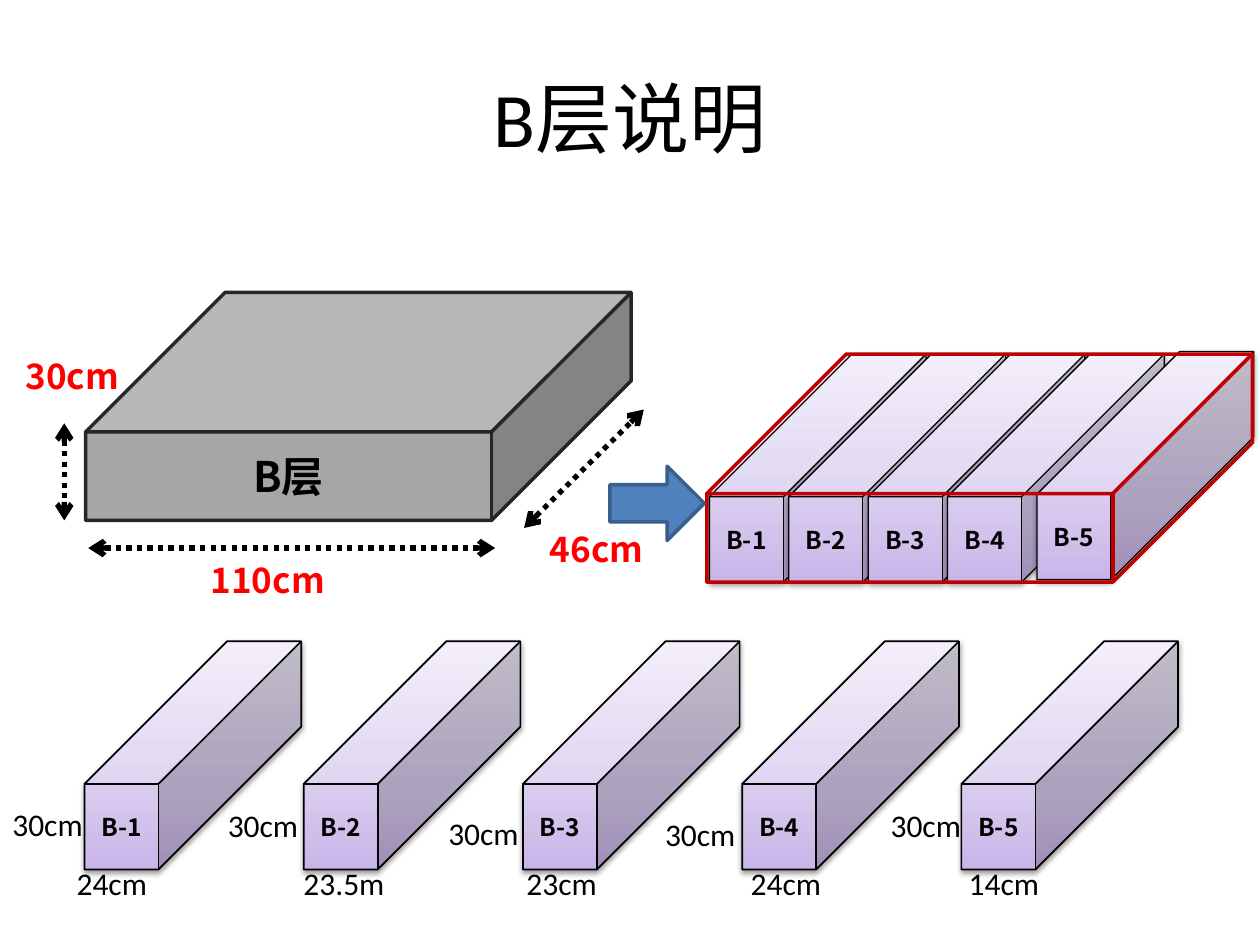
from lxml.etree import SubElement
from pptx import Presentation
from pptx.dml.color import RGBColor
from pptx.enum.dml import MSO_LINE
from pptx.enum.shapes import MSO_CONNECTOR, MSO_SHAPE
from pptx.enum.text import MSO_ANCHOR, MSO_AUTO_SIZE, PP_ALIGN
from pptx.oxml.ns import qn
from pptx.util import Inches, Pt

SANS = "Noto Sans CJK SC"
BLOCK_SIZE = (1.72, 1.81)
LAYER_SIZE = (4.33, 1.81)
BLOCK_GRADIENT = [(0, "C9B5E8"), (35, "D8CBEE"), (100, "F0EAF9")]


def write(shape, text, size, font_name=SANS, color="000000", bold=False, align=PP_ALIGN.CENTER):
    shape.text_frame.vertical_anchor = MSO_ANCHOR.MIDDLE
    paragraph = shape.text_frame.paragraphs[0]
    paragraph.text = text
    paragraph.alignment = align
    font = paragraph.font
    font.name, font.size, font.bold = font_name, Pt(size), bold
    font.color.rgb = RGBColor.from_string(color)


def add_solid(kind, left, top, size, line, line_width, fill=None, depth=None):
    """Add a preset shape; fill is a hex colour, a list of gradient stops or None."""
    shape = slide.shapes.add_shape(kind, *map(Inches, (left, top, *size)))
    if depth:
        shape.adjustments[0] = depth
    shape.line.color.rgb = RGBColor.from_string(line)
    shape.line.width = Pt(line_width)
    shape.shadow.inherit = False
    if fill is None:
        shape.fill.background()
    elif isinstance(fill, str):
        shape.fill.solid()
        shape.fill.fore_color.rgb = RGBColor.from_string(fill)
    else:
        shape.fill.gradient()
        shape.fill.gradient_angle = 90
        properties = shape._element.spPr
        stops = properties.find(".//" + qn("a:gsLst"))
        for stop in list(stops):
            stops.remove(stop)
        for position, color in fill:
            stop = SubElement(stops, qn("a:gs"), pos=str(position * 1000))
            SubElement(stop, qn("a:srgbClr"), val=color)
        shadow = SubElement(properties.find(qn("a:effectLst")), qn("a:outerShdw"),
                            blurRad=str(Pt(3.1)), dist=str(Pt(1.6)), dir="5400000", rotWithShape="0")
        shadow_color = SubElement(shadow, qn("a:srgbClr"), val="000000")
        SubElement(shadow_color, qn("a:alpha"), val="38000")
    return shape


presentation = Presentation()
presentation.slide_width, presentation.slide_height = Inches(10), Inches(7.5)
slide = presentation.slides.add_slide(presentation.slide_layouts[6])

title = slide.shapes.add_textbox(Inches(0.5), Inches(0.3), Inches(9), Inches(1.25))
title.text_frame.word_wrap = True
write(title, "B层说明", 44, "Calibri")

# Blocks: assembled layer on the right, then the separate row below
assembled = [(5.63 + 0.63 * i, 2.81) for i in range(4)] + [(8.23, 2.79)]
for number, (left, top) in enumerate(assembled, 1):
    block = add_solid(MSO_SHAPE.CUBE, left, top, BLOCK_SIZE, "000000", 0.75, BLOCK_GRADIENT, 0.658)
    write(block, f"B-{number}", 14, bold=True)
add_solid(MSO_SHAPE.CUBE, 5.61, 2.81, LAYER_SIZE, "C00000", 2, depth=0.612)
add_solid(MSO_SHAPE.RIGHT_ARROW, 4.84, 3.7, (0.75, 0.59), "3A5F8C", 2, "4F81BD")

# Whole layer with its dimensions
layer = add_solid(MSO_SHAPE.CUBE, 0.68, 2.32, LAYER_SIZE, "262626", 2, "A6A6A6", 0.612)
write(layer, "B层", 24, bold=True)

dimensions = [
    ("110cm", (1.47, 4.35), (0.7, 4.35, 3.93, 4.35)),
    ("46cm", (4.08, 4.1), (4.16, 4.19, 5.11, 3.25)),
    ("30cm", (-0.08, 2.73), (0.51, 3.36, 0.51, 4.13)),
]
for text, (left, top), ends in dimensions:
    arrow = slide.shapes.add_connector(MSO_CONNECTOR.STRAIGHT, *map(Inches, ends))
    arrow.line.color.rgb = RGBColor.from_string("000000")
    arrow.line.width = Pt(3)
    arrow.line.dash_style = MSO_LINE.ROUND_DOT
    arrow_properties = arrow._element.spPr
    for end in ("a:headEnd", "a:tailEnd"):
        SubElement(arrow_properties.find(qn("a:ln")), qn(end), type="arrow")
    SubElement(arrow_properties, qn("a:effectLst"))
    label = slide.shapes.add_textbox(Inches(left), Inches(top), Inches(1.31), Inches(0.5))
    label.text_frame.word_wrap = True
    write(label, text, 20, color="FF0000", bold=True)

# Per block: width text, its left edge, then left and top of the height text
block_labels = [
    ("24cm", 0.51, 0, 6.34),
    ("23.5m", 2.31, 1.71, 6.35),
    ("23cm", 4.08, 3.46, 6.41),
    ("24cm", 5.86, 5.18, 6.42),
    ("14cm", 7.59, 6.97, 6.35),
]
for i in range(len(block_labels)):
    block = add_solid(MSO_SHAPE.CUBE, 0.67 + 1.74 * i, 5.09, BLOCK_SIZE, "000000", 1, BLOCK_GRADIENT, 0.658)
    write(block, f"B-{i + 1}", 14, bold=True)
for width_text, width_left, height_left, height_top in block_labels:
    for text, left, top in ((width_text, width_left, 6.81), ("30cm", height_left, height_top)):
        box_width = 0.85 if len(text) > 4 else 0.77
        label = slide.shapes.add_textbox(Inches(left), Inches(top), Inches(box_width), Inches(0.4))
        label.text_frame.word_wrap = False
        label.text_frame.auto_size = MSO_AUTO_SIZE.SHAPE_TO_FIT_TEXT
        write(label, text, 18, "Calibri", align=PP_ALIGN.LEFT)

presentation.save("out.pptx")
